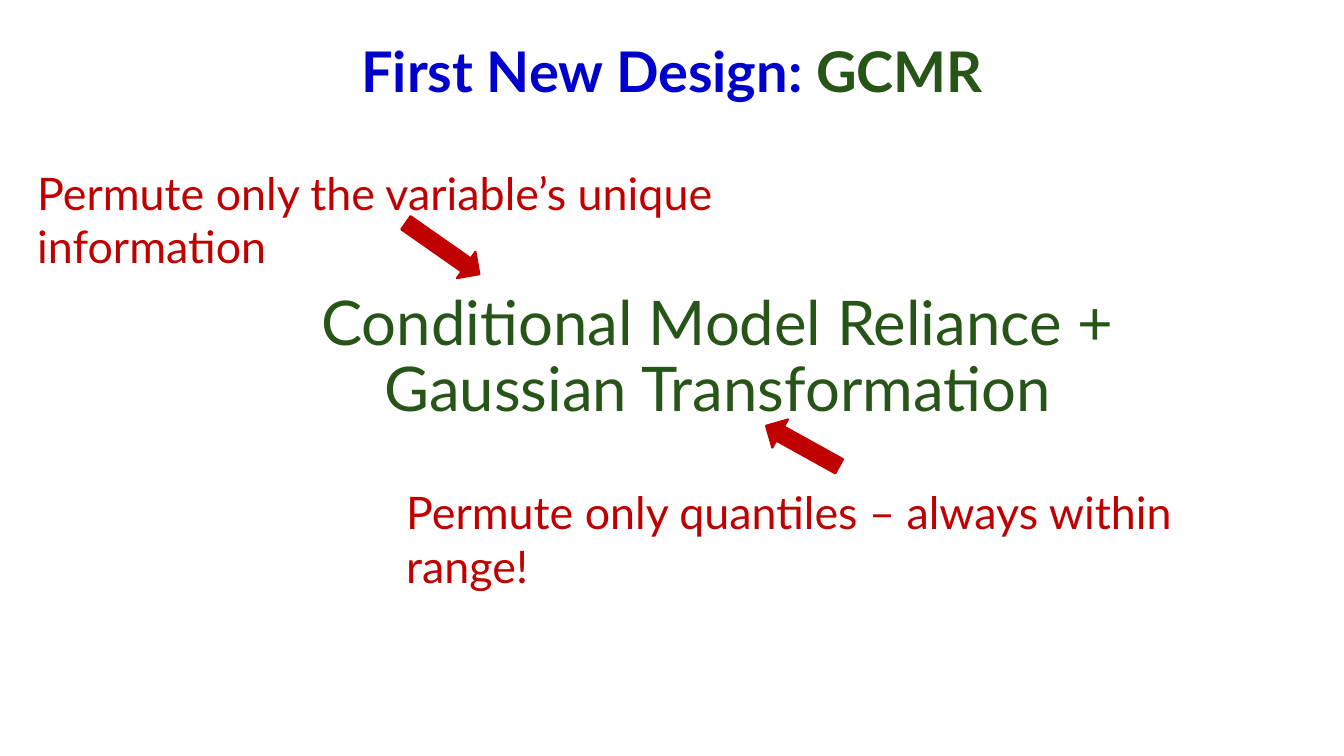
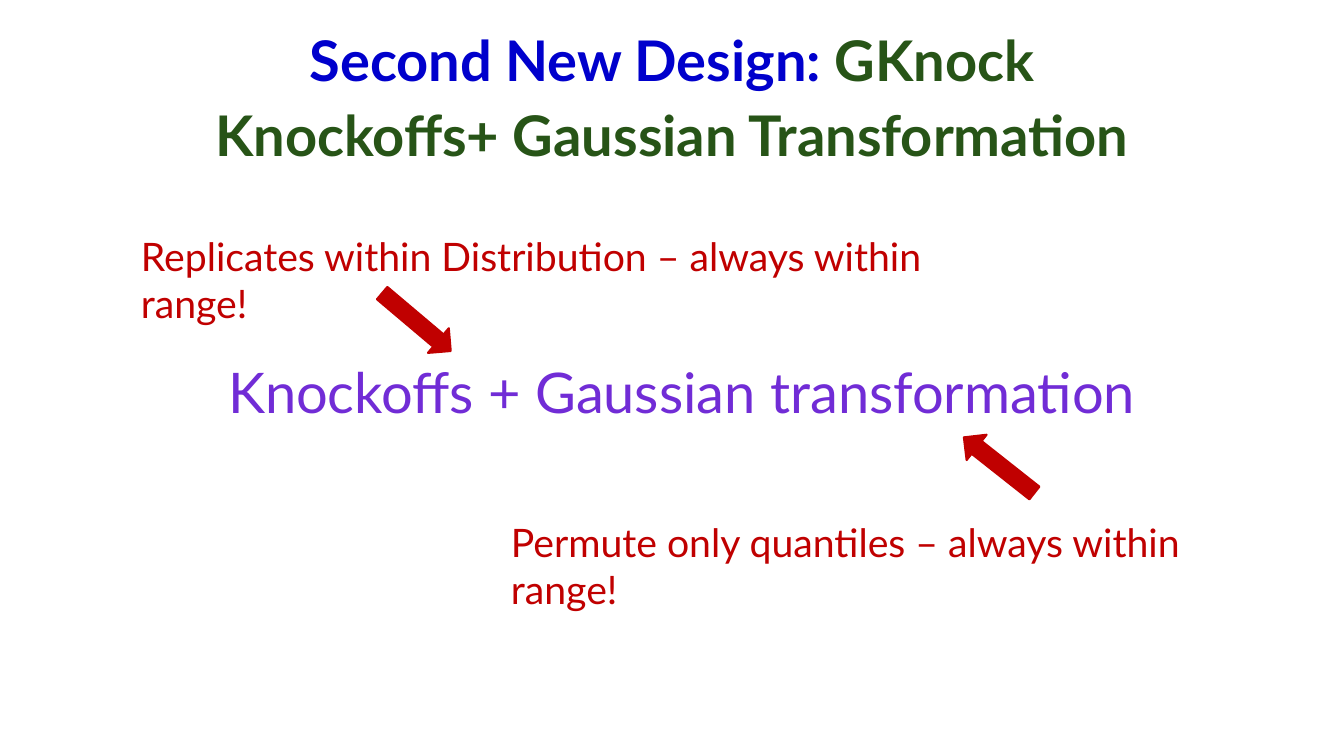
from pptx import Presentation
from pptx.dml.color import RGBColor
from pptx.enum.shapes import MSO_SHAPE as SHAPE
from pptx.enum.text import MSO_AUTO_SIZE as AUTO_SIZE, PP_ALIGN as ALIGN
from pptx.util import Inches, Pt

# Shared style
BLUE = RGBColor(0x00, 0x00, 0xCC)
GREEN = RGBColor(0x27, 0x54, 0x17)
PURPLE = RGBColor(0x71, 0x2C, 0xD6)
RED = RGBColor(0xC0, 0x00, 0x00)
FONT = "Lato"
TITLE_SIZE = 40
ARROW_WIDTH = 0.32


def add_slide(prs):
    return prs.slides.add_slide(prs.slide_layouts[6])


def add_text(s, box, paragraphs, size, bold=False, centered=False):
    """Each paragraph is a list of (text, colour) runs."""
    sp = s.shapes.add_textbox(*map(Inches, box))
    tf = sp.text_frame
    tf.word_wrap = True
    for i, runs in enumerate(paragraphs):
        p = tf.add_paragraph() if i else tf.paragraphs[0]
        if centered:
            p.alignment = ALIGN.CENTER
            p.line_spacing = 0.9
            if i:
                p.space_before = Pt(10)
        for text, colour in runs:
            r = p.add_run()
            r.text = text
            r.font.name = FONT
            r.font.size = Pt(size)
            r.font.bold = bold
            r.font.color.rgb = colour
    return sp


def add_title(s, top, height, paragraphs):
    add_text(s, (-0.19, top, 13.71, height), paragraphs, TITLE_SIZE,
             bold=True, centered=True)


def add_formula(s, box, text, size, colour):
    add_text(s, box, [[(text, colour)]], size, centered=True)


def add_callout(s, box, text, size):
    sp = add_text(s, box, [[(text, RED)]], size)
    sp.text_frame.auto_size = AUTO_SIZE.SHAPE_TO_FIT_TEXT


def add_arrow(s, left, top, length, rotation):
    sp = s.shapes.add_shape(SHAPE.DOWN_ARROW, Inches(left), Inches(top),
                            Inches(ARROW_WIDTH), Inches(length))
    sp.rotation = rotation
    sp.shadow.inherit = False
    sp.fill.solid()
    sp.fill.fore_color.rgb = RED
    sp.line.color.rgb = RED
    sp.line.width = Pt(1.5)


def build_gcmr(prs):
    s = add_slide(prs)
    add_title(s, 0.39, 0.64, [[("First New Design: ", BLUE), ("GCMR", GREEN)]])
    add_formula(s, (2.12, 2.85, 10, 1.8),
                "Conditional Model Reliance + Gaussian Transformation", 44, GREEN)
    # Callouts and their arrows
    add_callout(s, (0.27, 1.59, 9.18, 0.64),
                "Permute only the variable’s unique information", 32)
    add_callout(s, (3.93, 4.76, 8.94, 0.64),
                "Permute only quantiles – always within range!", 32)
    add_arrow(s, 4.23, 2.02, 0.89, 305)
    add_arrow(s, 7.8, 4.01, 0.83, 119)


def build_gknock(prs):
    s = add_slide(prs)
    add_title(s, 0.28, 0.43, [
        [("Second New Design: ", BLUE), ("GKnock", GREEN)],
        [("Knockoffs+ Gaussian Transformation", GREEN)],
    ])
    add_formula(s, (0.19, 3.57, 13.14, 1.8),
                "Knockoffs + Gaussian transformation", 40, PURPLE)
    # Callouts and their arrows
    add_callout(s, (1.3, 2.26, 8.84, 0.57),
                "Replicates within Distribution – always within range!", 28)
    add_callout(s, (4.97, 5.09, 7.84, 0.57),
                "Permute only quantiles – always within range!", 28)
    add_arrow(s, 3.97, 2.75, 0.89, 310.2)
    add_arrow(s, 9.75, 4.17, 0.89, 128.3)


def main():
    prs = Presentation()
    prs.slide_width = Inches(13.33)
    prs.slide_height = Inches(7.5)
    build_gcmr(prs)
    build_gknock(prs)
    prs.save("out.pptx")


if __name__ == "__main__":
    main()
